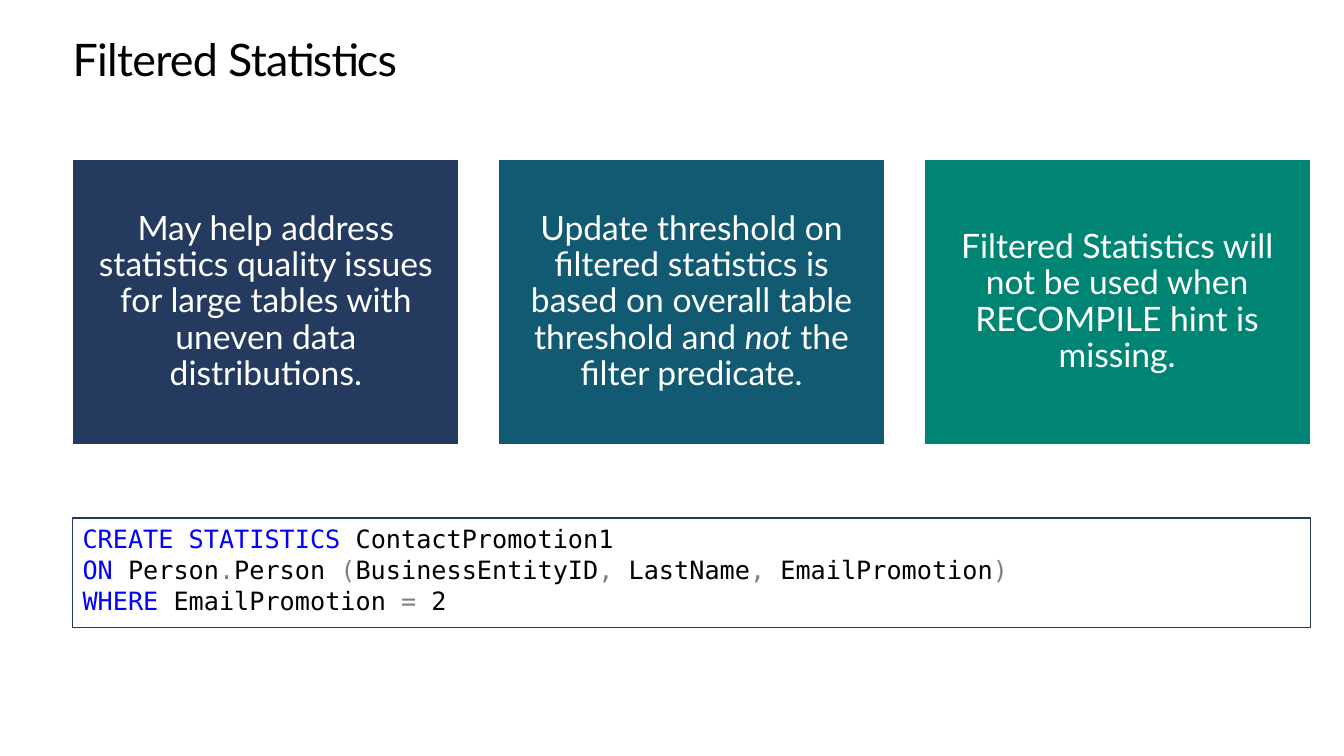
from pptx import Presentation
from pptx.dml.color import RGBColor as Rgb
from pptx.enum.shapes import MSO_SHAPE as Kind
from pptx.enum.text import MSO_ANCHOR as Anchor, MSO_AUTO_SIZE as Fit, PP_ALIGN as Align
from pptx.util import Pt

HUES = {
    "white": "FFFFFF", "black": "000000", "navy": "243A5E", "teal": "125A71",
    "green": "008575", "blue": "0000FF", "gray": "808080",
}
LEFT, WIDE = 51.84, 884.16
CARDS = [
    ("navy", [("May help address statistics quality issues for large tables "
               "with uneven data distributions.", False)]),
    ("teal", [("Update threshold on filtered statistics is based on overall "
               "table threshold and ", False),
              ("not", True), (" the filter predicate.", False)]),
    ("green", [("Filtered Statistics will not be used when RECOMPILE hint "
                "is missing.", False)]),
]
CODE = [
    [("CREATE STATISTICS", "blue"), (" ContactPromotion1", "black")],
    [("ON", "blue"), (" Person", "black"), (".", "gray"), ("Person ", "black"),
     ("(", "gray"), ("BusinessEntityID", "black"), (",", "gray"),
     (" LastName", "black"), (",", "gray"), (" EmailPromotion", "black"),
     (")", "gray")],
    [("WHERE", "blue"), (" EmailPromotion ", "black"), ("=", "gray"),
     (" 2", "black")],
]


def hue(name):
    return Rgb.from_string(HUES[name])


def style(font, face, size, color=None):
    font.name, font.size = face, Pt(size)
    if color:
        font.color.rgb = hue(color)


def inset(frame, side, top):
    frame.margin_left = frame.margin_right = Pt(side)
    frame.margin_top = frame.margin_bottom = Pt(top)


def panel(slide, box, line, width):
    shape = slide.shapes.add_shape(Kind.RECTANGLE, *map(Pt, box))
    shape.shadow.inherit = False
    shape.line.color.rgb = hue(line)
    shape.line.width = Pt(width)
    shape.text_frame.word_wrap = True
    return shape


def heading(slide, box, text):
    title = slide.shapes.title
    title.left, title.top, title.width, title.height = map(Pt, box)
    title.fill.solid()
    title.fill.fore_color.rgb = hue("white")
    frame = title.text_frame
    frame.text = text
    frame.word_wrap = True
    frame.auto_size = Fit.SHAPE_TO_FIT_TEXT
    frame.vertical_anchor = Anchor.TOP
    inset(frame, 0, 0)
    para = frame.paragraphs[0]
    para.alignment = Align.LEFT
    para.line_spacing = Pt(36.2)
    style(para.font, "Lato", 32, "black")
    para.runs[0].font._element.set("spc", "-50")


def card(slide, box, color, parts):
    shape = panel(slide, box, "white", 1)
    shape.fill.solid()
    shape.fill.fore_color.rgb = hue(color)
    frame = shape.text_frame
    frame.vertical_anchor = Anchor.MIDDLE
    inset(frame, 7.2, 7.2)
    para = frame.paragraphs[0]
    para.alignment = Align.CENTER
    para.line_spacing = 0.9
    style(para.font, "Lato", 24, "white")
    for text, slant in parts:
        run = para.add_run()
        run.text = text
        if slant:
            run.font.italic = True


def row(slide, box, cards, gap):
    left, top, width, height = box
    size = (width - gap * (len(cards) - 1)) / len(cards)
    for i, (color, parts) in enumerate(cards):
        card(slide, (left + i * (size + gap), top, size, height), color, parts)


def code(slide, box, lines):
    shape = panel(slide, box, "navy", 0.75)
    shape.fill.background()
    frame = shape.text_frame
    frame.vertical_anchor = Anchor.TOP
    inset(frame, 7.2, 3.6)
    for i, parts in enumerate(lines):
        para = frame.add_paragraph() if i else frame.paragraphs[0]
        para.alignment = Align.LEFT
        para.space_after = Pt(0.8)
        style(para.font, "DejaVu Sans Mono", 18)
        for text, color in parts:
            run = para.add_run()
            run.text = text
            run.font.color.rgb = hue(color)


deck = Presentation()
deck.slide_width, deck.slide_height = Pt(960), Pt(540)
page = deck.slides.add_slide(deck.slide_layouts[5])
heading(page, (LEFT, 25.2, 856.8, 36), "Filtered Statistics")
row(page, (LEFT, 114, WIDE, 203.5), CARDS, 28)
code(page, (LEFT, 370, WIDE, 78.5), CODE)
deck.save("out.pptx")
